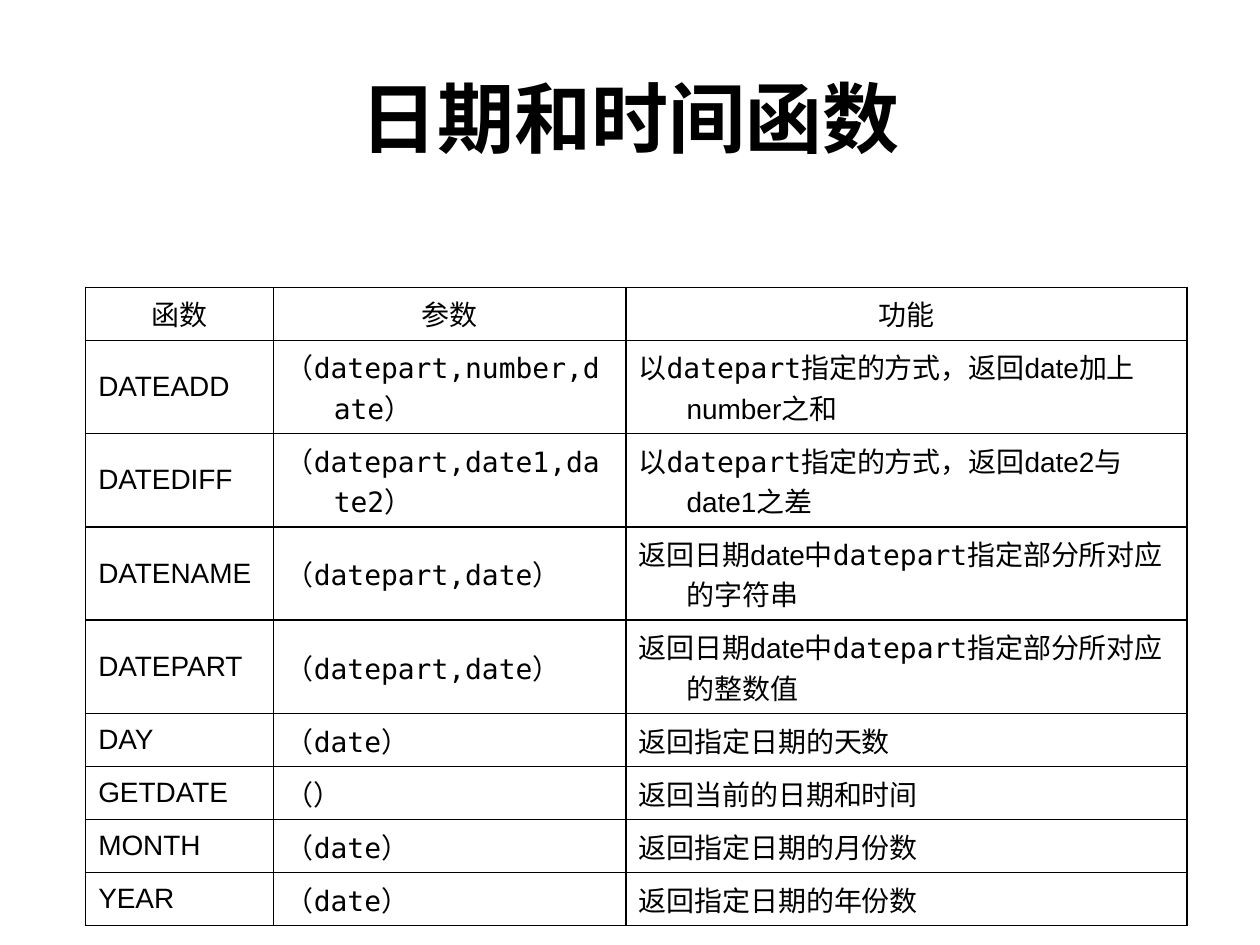
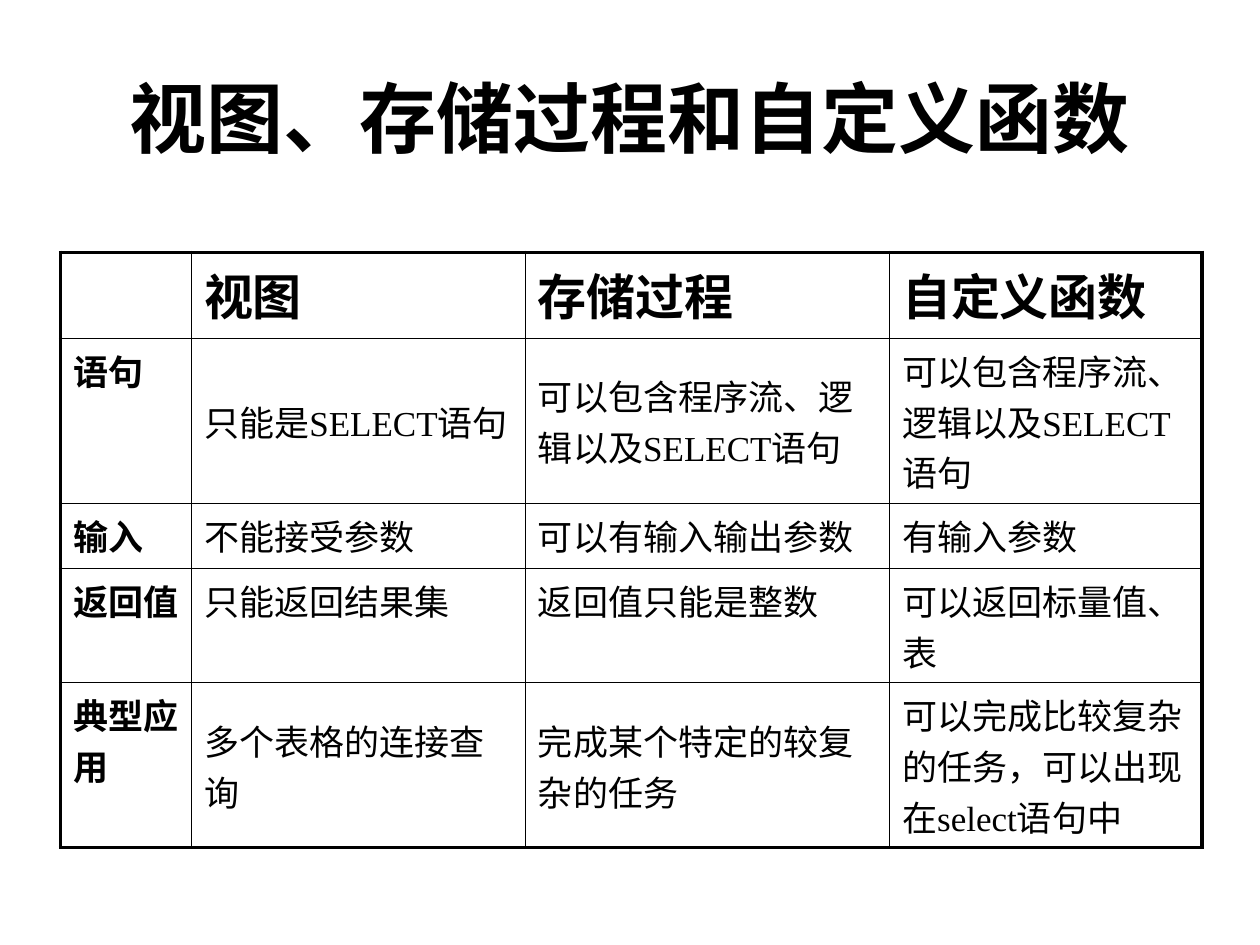
from itertools import groupby
from lxml.etree import SubElement as Sub
from pptx import Presentation
from pptx.dml.color import RGBColor as Rgb
from pptx.enum.text import MSO_ANCHOR as Anchor, PP_ALIGN as Align
from pptx.oxml.ns import qn
from pptx.util import Inches, Pt

HUES = {"ink": "000000", "back": "FFFFFF"}
SANS, SERIF, MONO = "Arial", "Times New Roman", "DejaVu Sans Mono"
HAN, PAREN = "Noto Sans CJK SC", "Courier New"
THIN, THICK = 1, 2.25
INDENT = 0.38
HEAD = (0.05, 0.04, 0.9, 0.167)

deck = Presentation()
deck.slide_width, deck.slide_height = Inches(10), Inches(7.5)
WIDE, HIGH = deck.slide_width, deck.slide_height


def scale(box):
    return [round(part * side) for part, side in zip(box, (WIDE, HIGH) * 2)]


def apply(item, looks):
    for name, value in looks.items():
        setattr(item, name, value)


def write(para, text, face, size, bold=False):
    run = para.add_run()
    run.text = text
    apply(run.font, {"name": face, "size": Pt(size), "bold": bold})
    run.font.color.rgb = Rgb.from_string(HUES["ink"])
    Sub(run.font._element, qn("a:ea"), typeface=HAN)


def space(para, hang=0):
    props = para._p.get_or_add_pPr()
    if hang:
        props.set("marL", str(Inches(hang)))
        props.set("indent", str(-Inches(hang)))
    return props


def lift(para):
    gap = Sub(space(para), qn("a:spcBef"))
    Sub(gap, qn("a:spcPct"), val="20000")


def edge(cell, sides):
    props = cell._tc.get_or_add_tcPr()
    for side in "LRTB":
        line = Sub(props, qn("a:ln" + side), w=str(Pt(sides[side])))
        fill = Sub(line, qn("a:solidFill"))
        Sub(fill, qn("a:srgbClr"), val=HUES["ink"])


def page(title):
    slide = deck.slides.add_slide(deck.slide_layouts[5])
    slide.background.fill.solid()
    slide.background.fill.fore_color.rgb = Rgb.from_string(HUES["back"])
    head = slide.shapes.title
    apply(head, dict(zip(("left", "top", "width", "height"), scale(HEAD))))
    apply(head.text_frame, {"vertical_anchor": Anchor.MIDDLE, "word_wrap": True})
    para = head.text_frame.paragraphs[0]
    para.alignment = Align.CENTER
    write(para, title, SANS, 44, True)
    return slide


def grid(slide, box, cols, rows, data, rim, put):
    area = scale(box)
    frame = slide.shapes.add_table(len(rows), len(cols), *area)
    table = frame.table
    apply(table, {"first_row": False, "horz_banding": False})
    for col, part in zip(table.columns, cols):
        col.width = round(area[2] * part / sum(cols))
    for row, part in zip(table.rows, rows):
        row.height = round(HIGH * part)
    frame.height = area[3]
    for y, line in enumerate(data):
        for x, text in enumerate(line):
            cell = table.cell(y, x)
            ends = {"L": x == 0, "R": x == len(cols) - 1,
                    "T": y == 0, "B": y == len(rows) - 1}
            edge(cell, {side: rim if end else THIN for side, end in ends.items()})
            cell.fill.background()
            put(cell, x, y, text)


def split(text, col):
    if col == 0 or text == "（）":
        return [(text, SANS if col == 0 else HAN)]
    parts = []
    for plain, chars in groupby(text, str.isascii):
        word = "".join(chars)
        if plain:
            face = MONO if col == 1 or word == "datepart" else SANS
        else:
            face = PAREN if col == 1 else HAN
        parts.append((word, face))
    return parts


def usage(cell, x, y, text):
    cell.vertical_anchor = Anchor.MIDDLE
    para = cell.text_frame.paragraphs[0]
    space(para, INDENT)
    if y == 0:
        para.alignment = Align.CENTER
        write(para, text, SANS, 16)
        return
    lift(para)
    for word, face in split(text, x):
        write(para, word, face, 16)


def trait(cell, x, y, text):
    if y in (1, 4) and x in (1, 2):
        cell.vertical_anchor = Anchor.MIDDLE
    para = cell.text_frame.paragraphs[0]
    lift(para)
    if text:
        write(para, text, SERIF, 20 if y else 28, x == 0 or y == 0)


DATES = [
    ("函数", "参数", "功能"),
    ("DATEADD", "（datepart,number,date）", "以datepart指定的方式，返回date加上number之和"),
    ("DATEDIFF", "（datepart,date1,date2）", "以datepart指定的方式，返回date2与date1之差"),
    ("DATENAME", "（datepart,date）", "返回日期date中datepart指定部分所对应的字符串"),
    ("DATEPART", "（datepart,date）", "返回日期date中datepart指定部分所对应的整数值"),
    ("DAY", "（date）", "返回指定日期的天数"),
    ("GETDATE", "（）", "返回当前的日期和时间"),
    ("MONTH", "（date）", "返回指定日期的月份数"),
    ("YEAR", "（date）", "返回指定日期的年份数"),
]
KINDS = [
    ("", "视图", "存储过程", "自定义函数"),
    ("语句", "只能是SELECT语句", "可以包含程序流、逻辑以及SELECT语句", "可以包含程序流、逻辑以及SELECT语句"),
    ("输入", "不能接受参数", "可以有输入输出参数", "有输入参数"),
    ("返回值", "只能返回结果集", "返回值只能是整数", "可以返回标量值、表"),
    ("典型应用", "多个表格的连接查询", "完成某个特定的较复杂的任务",
     "可以完成比较复杂的任务，可以出现在select语句中"),
]

grid(page("日期和时间函数"), (0.068, 0.304, 0.874, 0.583),
     (1.49, 2.8, 4.45), [0.045] + [0.04] * 8, DATES, THIN, usage)
grid(page("视图、存储过程和自定义函数"), (0.048, 0.267, 0.906, 0.559),
     (1.04, 2.65, 2.89, 2.48), (0.091, 0.148, 0.069, 0.081, 0.148), KINDS, THICK, trait)

deck.save("out.pptx")
